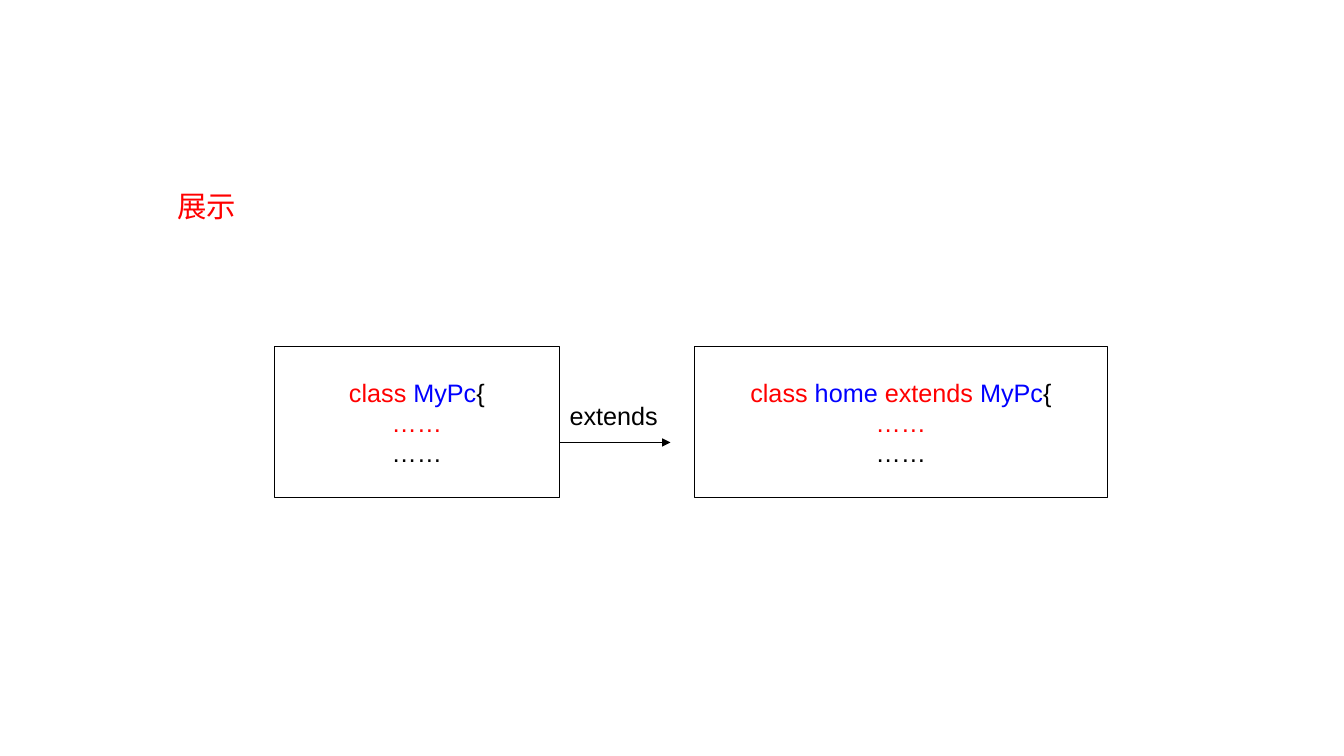
"""Build a slide showing class inheritance between two boxes."""
from lxml import etree
from pptx import Presentation
from pptx import util as u
from pptx.dml.color import RGBColor
from pptx.enum import shapes, text
from pptx.oxml.ns import qn

COLORS = {"red": "FF0000", "blue": "0000FF", "black": "000000", "white": "FFFFFF"}
BOX_TOP, BOX_HEIGHT = 3.44, 1.5
ELLIPSES = [[("……", "red")], [("……", "black")]]


def rgb(name):
    """Return a named colour."""
    return RGBColor.from_string(COLORS[name])


def add_run(p, words, color, size=18, font="Arial"):
    """Append one formatted run to a paragraph."""
    r = p.add_run()
    r.text = words
    r.font.size = u.Pt(size)
    r.font.name = font
    r.font.color.rgb = rgb(color)
    ea = etree.SubElement(r.font._element, qn("a:ea"))
    ea.set("typeface", font)


def style_line(line):
    """Give an outline or connector the thin black stroke."""
    line.color.rgb = rgb("black")
    line.width = u.Pt(0.75)


def add_heading(s, words):
    """Place the body placeholder as a plain red heading."""
    sp = s.placeholders[1]
    sp.left, sp.top = u.Inches(1.76), u.Inches(1.87)
    sp.width, sp.height = u.Inches(1.19), u.Inches(0.35)
    tf = sp.text_frame
    tf.margin_left = tf.margin_right = tf.margin_top = tf.margin_bottom = 0
    tf.auto_size = text.MSO_AUTO_SIZE.SHAPE_TO_FIT_TEXT
    p = tf.paragraphs[0]
    pPr = p._p.get_or_add_pPr()
    pPr.set("marL", "0")
    pPr.set("indent", "0")
    etree.SubElement(pPr, qn("a:buNone"))
    p.space_before = u.Pt(0)
    add_run(p, words, "red", 21, "Noto Sans CJK SC")


def add_class_box(s, left, width, lines, fill=None):
    """Draw an outlined box with centred code lines."""
    sp = s.shapes.add_shape(shapes.MSO_SHAPE.RECTANGLE, u.Inches(left),
                            u.Inches(BOX_TOP), u.Inches(width), u.Inches(BOX_HEIGHT))
    sp.shadow.inherit = False
    if fill:
        sp.fill.solid()
        sp.fill.fore_color.rgb = rgb(fill)
    else:
        sp.fill.background()
    style_line(sp.line)
    tf = sp.text_frame
    tf.word_wrap = False
    tf.vertical_anchor = text.MSO_ANCHOR.MIDDLE
    for i, runs in enumerate(lines):
        p = tf.add_paragraph() if i else tf.paragraphs[0]
        p.alignment = text.PP_ALIGN.CENTER
        for words, color in runs:
            add_run(p, words, color)


def add_arrow(s, left, right, y):
    """Draw a horizontal arrow pointing right."""
    line = s.shapes.add_connector(shapes.MSO_CONNECTOR.STRAIGHT, u.Inches(left),
                                  u.Inches(y), u.Inches(right), u.Inches(y))
    style_line(line.line)
    etree.SubElement(line.line._get_or_add_ln(), qn("a:tailEnd")).set("type", "triangle")
    etree.SubElement(line._element.spPr, qn("a:effectLst"))


def add_label(s, left, top, width, height, words):
    """Add an unwrapped black label."""
    sp = s.shapes.add_textbox(u.Inches(left), u.Inches(top),
                              u.Inches(width), u.Inches(height))
    tf = sp.text_frame
    tf.word_wrap = False
    tf.auto_size = text.MSO_AUTO_SIZE.SHAPE_TO_FIT_TEXT
    add_run(tf.paragraphs[0], words, "black")


def main():
    """Build and save the slide."""
    prs = Presentation()
    prs.slide_width, prs.slide_height = u.Inches(13.33), u.Inches(7.5)
    s = prs.slides.add_slide(prs.slide_layouts[1])
    title = s.shapes.title._element
    title.getparent().remove(title)
    add_heading(s, "展示")
    parent = [("class ", "red"), ("MyPc", "blue"), ("{", "black")]
    child = [("class ", "red"), ("home ", "blue"), ("extends ", "red"),
             ("MyPc", "blue"), ("{", "black")]
    add_class_box(s, 2.72, 2.83, [parent, *ELLIPSES], "white")
    add_class_box(s, 6.89, 4.09, [child, *ELLIPSES])
    add_arrow(s, 5.55, 6.65, 4.39)
    add_label(s, 5.55, 3.92, 1.08, 0.4, "extends")
    prs.save("out.pptx")


if __name__ == "__main__":
    main()
